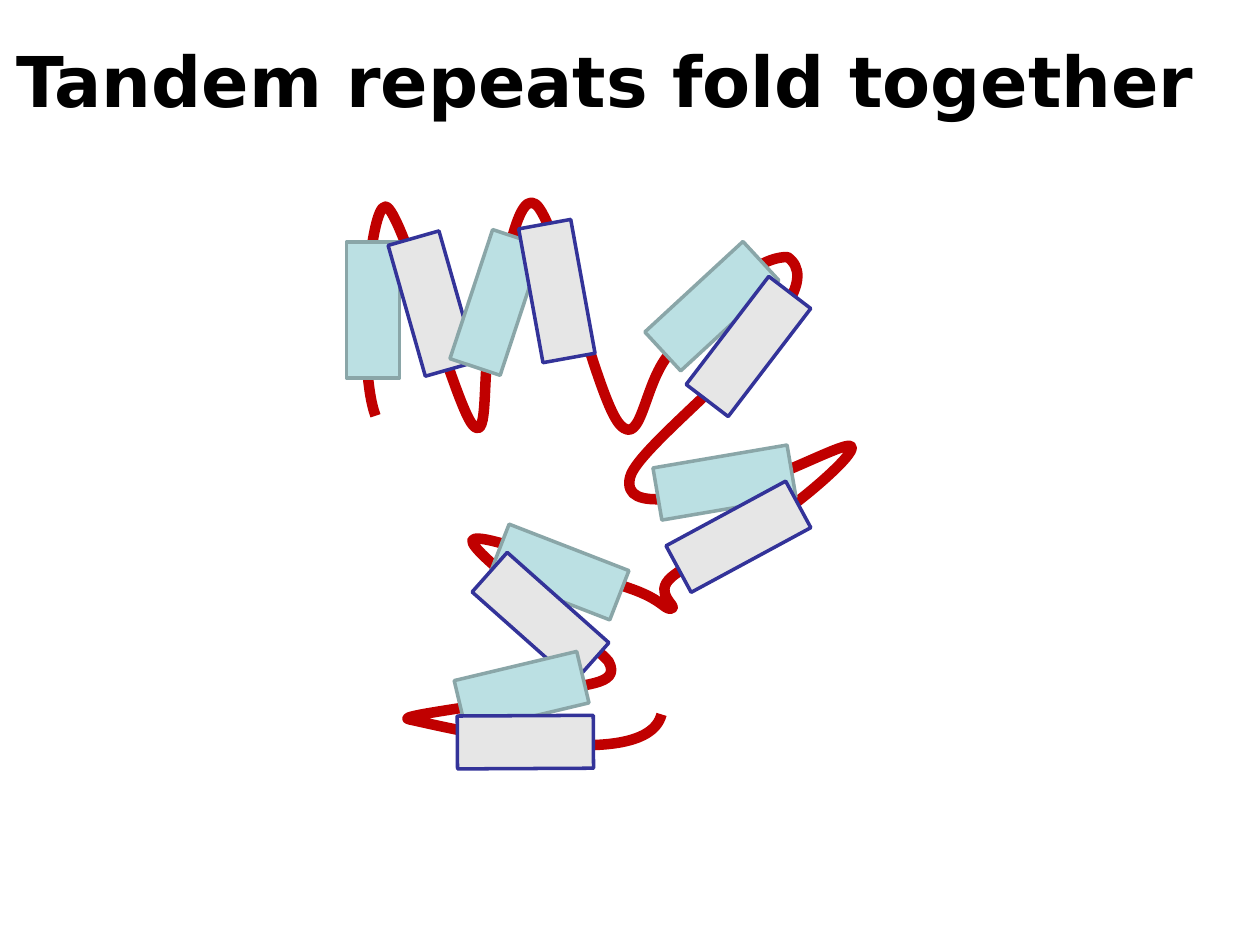
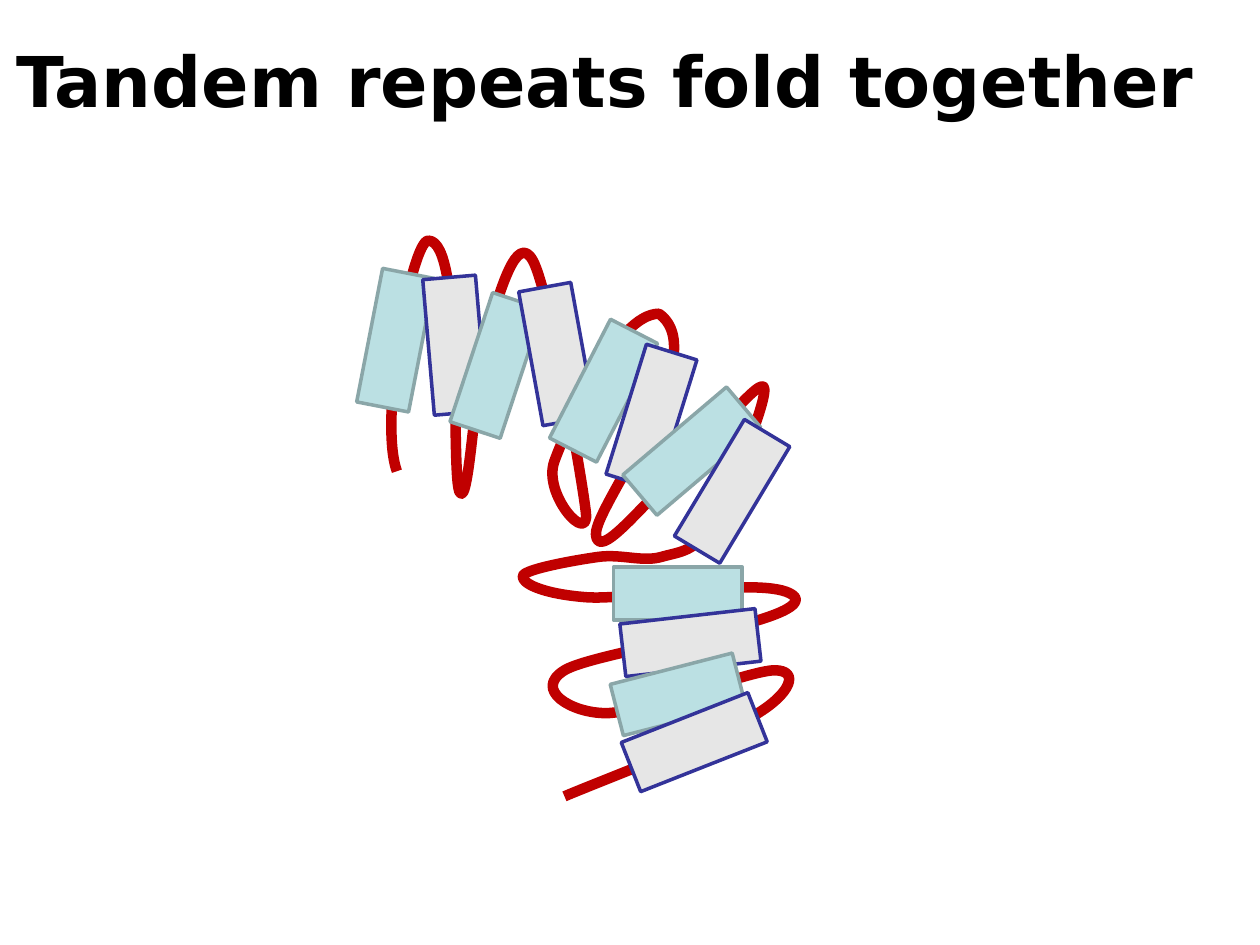
from dataclasses import dataclass
from typing import Optional

from lxml import etree
from pptx import Presentation
from pptx import util as u
from pptx.dml.color import RGBColor
from pptx.enum import shapes, text
from pptx.oxml import ns

FONT = "DejaVu Sans"
INK = "000000"
LOOP = "C00000"
TITLE = "Tandem repeats fold together"
DEPTH = 0.42


@dataclass(frozen=True)
class Style:
    fill: str
    line: str


TEAL = Style("BBE0E3", "8AA6A8")
GREY = Style("E6E6E6", "333399")


@dataclass(frozen=True)
class Turn:
    into: tuple[float, float]
    out: tuple[float, float]


TAIL = Turn((0, 0), (-0.15, -0.41))
CREST = Turn((0.13, 0.01), (0.29, 0))
ARCH = Turn((0.34, 0), (0.45, 0.32))
ELBOW = Turn((0.16, 0.19), (0.11, 0.2))
HOOK = Turn((0.13, -0.51), (0, 0))


@dataclass(frozen=True)
class Spot:
    x: float
    y: float
    turn: Optional[Turn] = None


@dataclass(frozen=True)
class Rod:
    left: float
    top: float
    turn: float = 0
    width: float = 1.08


@dataclass(frozen=True)
class Pair:
    first: Rod
    second: Rod
    joined: bool = True


@dataclass(frozen=True)
class Fold:
    spots: list[Spot]
    pairs: list[Pair]


FOLDS = [
    Fold(
        [
            Spot(2.98, 3.3, TAIL), Spot(3.06, 1.64), Spot(3.75, 3.37),
            Spot(3.9, 2.64), Spot(4.25, 1.62), Spot(4.92, 3.37),
            Spot(5.33, 2.79), Spot(6.25, 2.04, ARCH), Spot(5, 3.79),
            Spot(5.83, 3.87), Spot(6.75, 3.54), Spot(6.25, 4.04),
            Spot(5.33, 4.58), Spot(5.33, 4.83), Spot(5, 4.67),
            Spot(3.75, 4.29), Spot(4.83, 5.25, ELBOW), Spot(4.33, 5.5),
            Spot(3.25, 5.71), Spot(5.25, 5.67, HOOK),
        ],
        [
            Pair(Rod(2.42, 2.25, 270), Rod(2.89, 2.2, 74.1), joined=False),
            Pair(Rod(3.4, 2.19, 288.3), Rod(3.88, 2.1, 79.7)),
            Pair(Rod(5.12, 2.22, 317.3, 1.06), Rod(5.4, 2.54, 127.4)),
            Pair(Rod(5.21, 3.62, 350.3), Rod(5.32, 4.05, 151.6)),
            Pair(Rod(3.93, 4.33, 21.2, 1.02), Rod(3.75, 4.69, 41.6)),
            Pair(Rod(3.64, 5.28, 346.6, 1), Rod(3.63, 5.68, 359.7)),
        ],
    ),
    Fold(
        [
            Spot(3.15, 3.74, TAIL), Spot(3.4, 1.91, CREST), Spot(3.65, 3.91),
            Spot(3.87, 2.63), Spot(4.23, 2.07), Spot(4.65, 4.07),
            Spot(4.4, 3.66), Spot(5.23, 2.49, ARCH), Spot(4.73, 4.24),
            Spot(5.31, 3.82), Spot(6.06, 3.07), Spot(5.65, 4.16),
            Spot(5.25, 4.42), Spot(4.75, 4.42), Spot(4.15, 4.57),
            Spot(4.65, 4.74), Spot(6.31, 4.74, ELBOW), Spot(4.48, 5.32),
            Spot(4.81, 5.66), Spot(6.15, 5.32), Spot(6, 5.67),
            Spot(4.48, 6.32),
        ],
        [
            Pair(Rod(2.6, 2.49, 281), Rod(3.07, 2.53, 85.1)),
            Pair(Rod(3.4, 2.69, 288.3), Rod(3.88, 2.6, 79.7)),
            Pair(Rod(4.26, 2.89, 297.2, 1.06), Rod(4.63, 3.1, 107.3)),
            Pair(Rod(4.95, 3.37, 319.7), Rod(5.27, 3.69, 121)),
            Pair(Rod(4.87, 4.5, 0, 1.02), Rod(4.94, 4.89, 353.5), joined=False),
            Pair(Rod(4.88, 5.3, 345.6, 1), Rod(4.97, 5.68, 338.5)),
        ],
    ),
]


def tint(code: str) -> RGBColor:
    return RGBColor.from_string(code)


def edge(shape, code: str, width: float) -> None:
    shape.line.color.rgb = tint(code)
    shape.line.width = u.Pt(width)
    shape.shadow.inherit = False


def write(slide, words: str, *, box: tuple[float, ...], size: float,
          color: str = INK, bold: bool = False) -> None:
    frame = slide.shapes.add_textbox(*map(u.Inches, box)).text_frame
    frame.word_wrap = False
    frame.auto_size = text.MSO_AUTO_SIZE.SHAPE_TO_FIT_TEXT
    line = frame.paragraphs[0]
    line.alignment = text.PP_ALIGN.CENTER
    run = line.add_run()
    run.text = words
    run.font.name = FONT
    run.font.size = u.Pt(size)
    run.font.bold = bold
    run.font.color.rgb = tint(color)


def find_turn(spots: list[Spot], i: int) -> Turn:
    if spots[i].turn:
        return spots[i].turn
    last = spots[max(i - 1, 0)]
    after = spots[min(i + 1, len(spots) - 1)]
    pull = ((after.x - last.x) / 6, (after.y - last.y) / 6)
    return Turn(pull, pull)


def smooth(spots: list[Spot]) -> list[tuple[int, int]]:
    points = []
    for i in range(1, len(spots)):
        a, b = spots[i - 1], spots[i]
        out = find_turn(spots, i - 1).out
        into = find_turn(spots, i).into
        points += [(a.x + out[0], a.y + out[1]),
                   (b.x - into[0], b.y - into[1]), (b.x, b.y)]
    return [(u.Inches(x), u.Inches(y)) for x, y in points]


def bend(shape) -> None:
    steps = list(shape.element.iter(ns.qn("a:lnTo")))
    track = steps[0].getparent()
    for i in range(0, len(steps), 3):
        curve = etree.SubElement(track, ns.qn("a:cubicBezTo"))
        for step in steps[i:i + 3]:
            curve.append(step[0])
            track.remove(step)


def draw_loop(slide, spots: list[Spot]) -> None:
    pen = slide.shapes.build_freeform(u.Inches(spots[0].x), u.Inches(spots[0].y))
    pen.add_line_segments(smooth(spots), close=False)
    loop = pen.convert_to_shape()
    bend(loop)
    loop.fill.background()
    edge(loop, LOOP, 6)


def draw_rod(group, rod: Rod, style: Style) -> None:
    box = map(u.Inches, (rod.left, rod.top, rod.width, DEPTH))
    shape = group.add_shape(shapes.MSO_SHAPE.RECTANGLE, *box)
    shape.rotation = rod.turn
    shape.fill.solid()
    shape.fill.fore_color.rgb = tint(style.fill)
    edge(shape, style.line, 2)


def draw_pair(slide, pair: Pair) -> None:
    group = slide.shapes
    if pair.joined:
        group = group.add_group_shape().shapes
    draw_rod(group, pair.first, TEAL)
    draw_rod(group, pair.second, GREY)


def draw_fold(deck, fold: Fold) -> None:
    slide = deck.slides.add_slide(deck.slide_layouts[6])
    draw_loop(slide, fold.spots)
    write(slide, TITLE, box=(0, 0.25, 9.6, 0.77), size=40, bold=True)
    for pair in fold.pairs:
        draw_pair(slide, pair)


def main() -> None:
    deck = Presentation()
    deck.slide_width = u.Inches(10)
    deck.slide_height = u.Inches(7.5)
    for fold in FOLDS:
        draw_fold(deck, fold)
    deck.save("out.pptx")


main()
